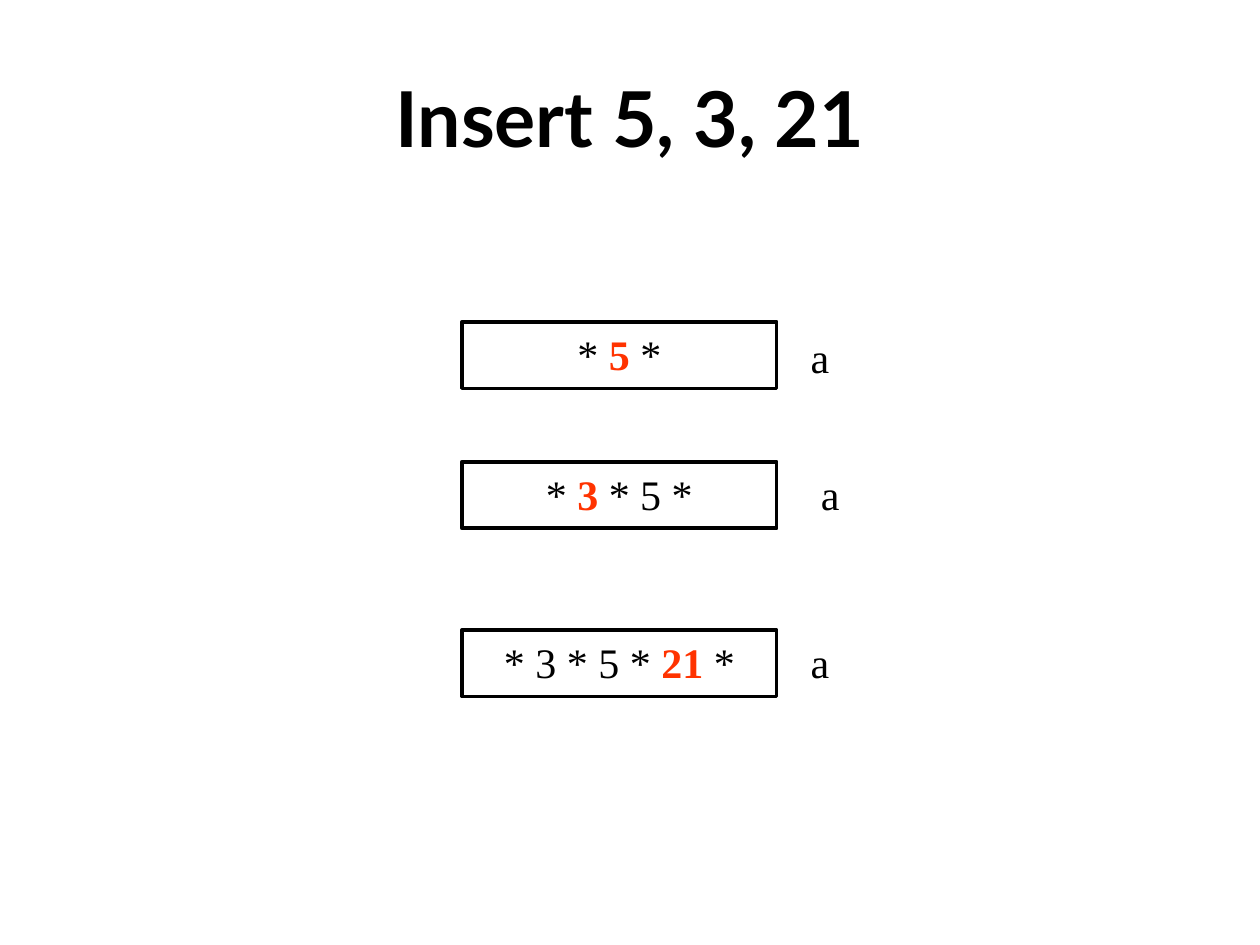
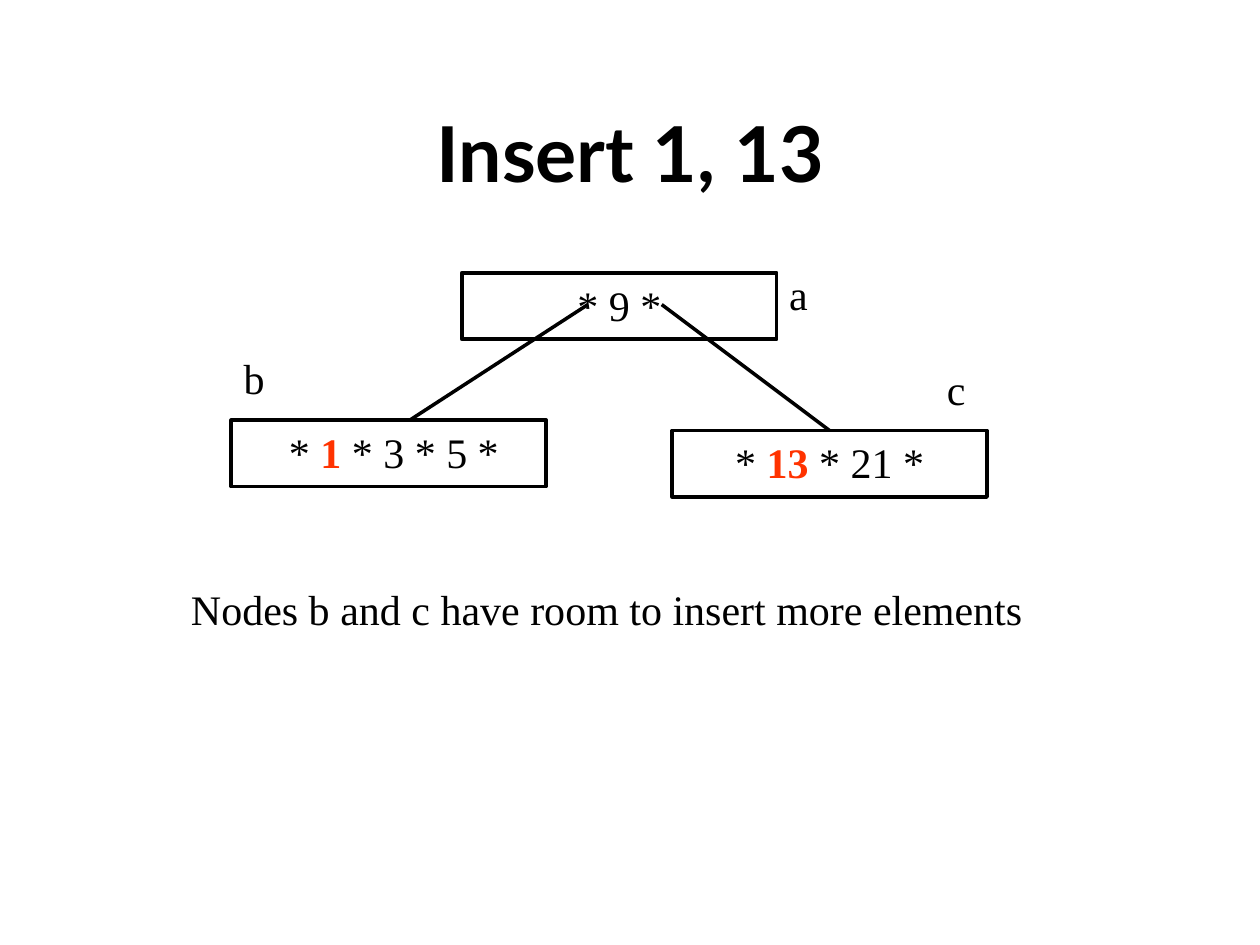
from lxml import etree
from pptx import Presentation
from pptx.dml.color import RGBColor
from pptx.enum.shapes import MSO_CONNECTOR, MSO_SHAPE
from pptx.enum.text import MSO_ANCHOR, MSO_AUTO_SIZE, PP_ALIGN
from pptx.oxml.ns import qn
from pptx.util import Cm, Pt

RECT = MSO_SHAPE.RECTANGLE
LINE = MSO_CONNECTOR.STRAIGHT
LEFT, MID = PP_ALIGN.LEFT, PP_ALIGN.CENTER
TOP, CENTER = MSO_ANCHOR.TOP, MSO_ANCHOR.MIDDLE
GROW, FIXED = MSO_AUTO_SIZE.SHAPE_TO_FIT_TEXT, MSO_AUTO_SIZE.NONE

COLORS = {"ink": "000000", "new": "FF3300"}
HEAD, BODY = "Lato", "Times New Roman"
NODE_W, NODE_H = 6.35, 1.34
TAG = 1.27
ROOT_X = 9.31

# node: text with new keys between bars, left, top; tag: text, left, top
SLIDES = [
    {
        "title": ("Insert 5, 3, 21", 1.27, 0.76, 22.86, 3.18),
        "nodes": [
            ("* |5| *", ROOT_X, 6.49),
            ("* |3| * 5 *", ROOT_X, 9.31),
            ("* 3 * 5 * |21| *", ROOT_X, 12.7),
        ],
        "tags": [("a", 16.09, 6.56), ("a", 16.3, 9.31), ("a", 16.09, 12.7)],
        "links": [],
        "notes": [],
    },
    {
        "title": ("Insert 1, 13", 1.91, 1.69, 21.59, 2.75),
        "nodes": [
            ("* 9 *", ROOT_X, 5.5),
            (" * |1| * 3 * 5 *", 4.66, 8.47),
            ("* |13| * 21 *", 13.55, 8.68),
        ],
        "tags": [("a", 15.66, 5.29), ("b", 4.66, 6.99), ("c", 18.84, 7.2)],
        "links": [
            (11.85, 6.14, 8.26, 8.47, None),
            (13.34, 6.14, 16.72, 8.68, 2),
        ],
        "notes": [("Nodes b and c have room to insert more elements",
                   3.6, 11.64, 17.57)],
    },
]


def paint(name):
    return RGBColor.from_string(COLORS[name])


def write(shape, text, size=24, font=BODY, bold=False, align=LEFT,
          anchor=TOP, fit=GROW, before=50):
    frame = shape.text_frame
    frame.word_wrap = True
    frame.auto_size = fit
    frame.vertical_anchor = anchor
    para = frame.paragraphs[0]
    para.alignment = align
    if before:
        gap = etree.SubElement(para._p.get_or_add_pPr(), qn("a:spcBef"))
        etree.SubElement(gap, qn("a:spcPct"), val=str(before * 1000))
    for i, part in enumerate(text.split("|")):
        new = i % 2 == 1
        run = para.add_run()
        run.text = part
        run.font.name = font
        run.font.size = Pt(size)
        run.font.bold = bold or new
        run.font.color.rgb = paint("new" if new else "ink")


def label(slide, text, x, y, w, h=TAG, **style):
    box = slide.shapes.add_textbox(Cm(x), Cm(y), Cm(w), Cm(h))
    write(box, text, **style)


def stroke(line):
    line.color.rgb = paint("ink")
    line.width = Pt(2)


def node(slide, text, x, y):
    box = slide.shapes.add_shape(RECT, Cm(x), Cm(y), Cm(NODE_W), Cm(NODE_H))
    box.shadow.inherit = False
    box.fill.background()
    stroke(box.line)
    write(box, text, align=MID)
    return box


def link(slide, x1, y1, x2, y2, child):
    wire = slide.shapes.add_connector(LINE, Cm(x1), Cm(y1), Cm(x2), Cm(y2))
    stroke(wire.line)
    etree.SubElement(wire._element.spPr, qn("a:effectLst"))
    if child:
        wire.end_connect(child, 0)


def main():
    deck = Presentation()
    deck.slide_width, deck.slide_height = Cm(25.4), Cm(19.05)
    for page in SLIDES:
        slide = deck.slides.add_slide(deck.slide_layouts[6])
        label(slide, *page["title"], size=44, font=HEAD, bold=True,
              align=MID, anchor=CENTER, fit=FIXED, before=0)
        nodes = [node(slide, *item) for item in page["nodes"]]
        for *ends, child in page["links"]:
            link(slide, *ends, nodes[child] if child else None)
        for tag in page["tags"]:
            label(slide, *tag, TAG)
        for note in page["notes"]:
            label(slide, *note)
    deck.save("out.pptx")


if __name__ == "__main__":
    main()
